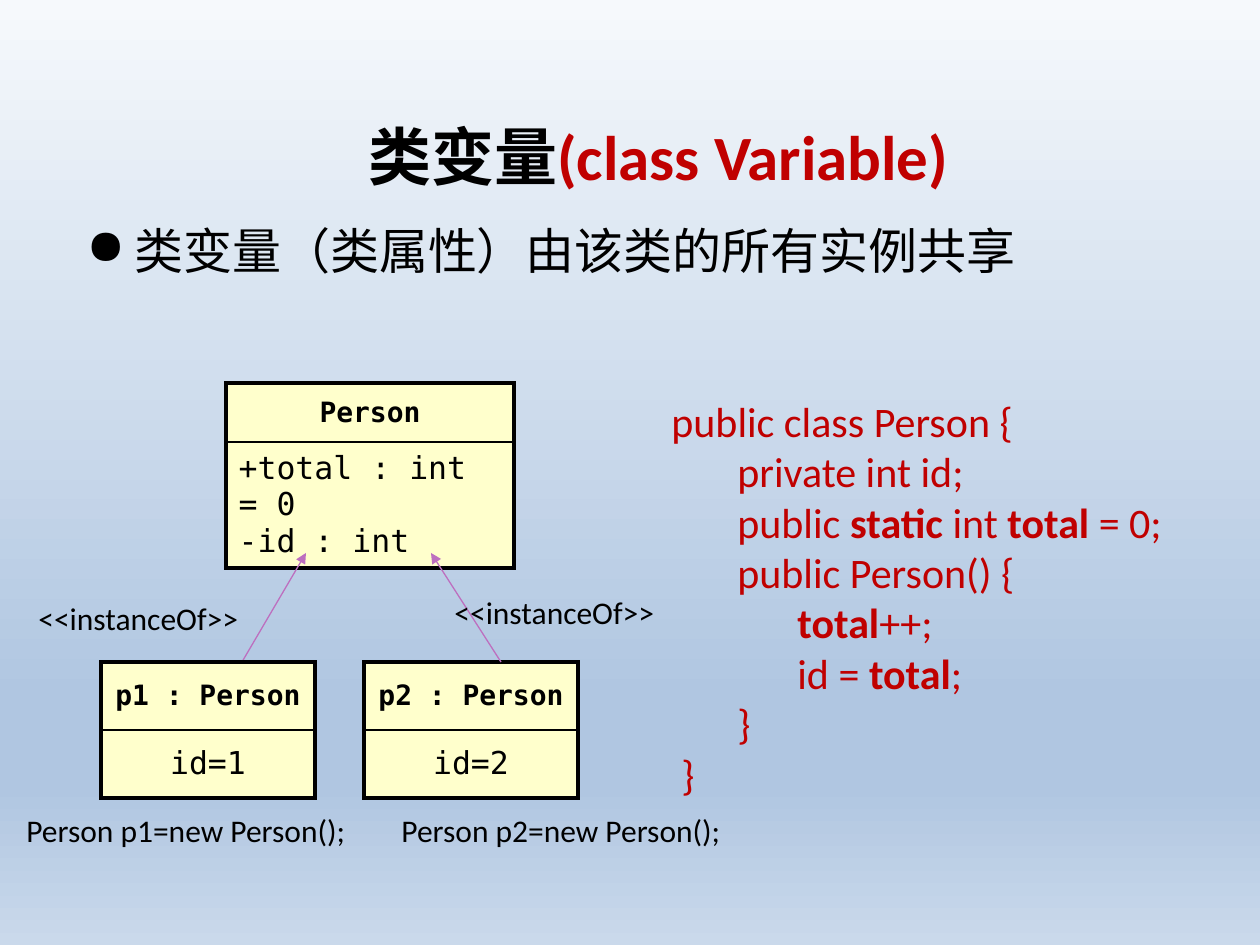
from dataclasses import dataclass

from lxml import etree
from pptx import Presentation
from pptx.dml.color import RGBColor
from pptx.enum.shapes import MSO_CONNECTOR
from pptx.enum.text import MSO_ANCHOR, MSO_AUTO_SIZE, PP_ALIGN
from pptx.oxml import parse_xml
from pptx.oxml.ns import nsdecls, qn
from pptx.util import Emu, Pt

EMU_PER_PX = 914400 / 126
BLACK, RED, CREAM, PURPLE = "000000", "C00000", "FFFFCC", "BD6FBF"
SANS, MONO = "Calibri", "DejaVu Sans Mono"
THICK, THIN = 2.25, 1


@dataclass
class Label:
    text: str
    left: int
    top: int
    width: int
    height: int = 50
    size: int = 18


@dataclass
class UmlBox:
    name: str
    members: list[str]
    left: int
    top: int
    width: int
    rows: tuple[int, int]
    align: PP_ALIGN = PP_ALIGN.CENTER


@dataclass
class CodeLine:
    indent: int
    tokens: list[str]  # every second token is bold


@dataclass
class Arrow:
    start: tuple[int, int]
    end: tuple[int, int]


def px(value: int) -> Emu:
    return Emu(round(value * EMU_PER_PX))


def color(hex_text: str) -> RGBColor:
    return RGBColor.from_string(hex_text)


def style(run, size: int, fill: str = BLACK, bold: bool = False, font: str = SANS) -> None:
    run.font.name, run.font.size, run.font.bold = font, Pt(size), bold
    run.font.color.rgb = color(fill)


def set_indent(paragraph, left: int, first: int = 0) -> None:
    properties = paragraph._p.get_or_add_pPr()
    properties.set("marL", str(px(left)))
    properties.set("indent", str(px(first)))


def add_background(slide, stops: list[tuple[int, str]]) -> None:
    gradient = "".join(
        f'<a:gs pos="{pos * 1000}"><a:srgbClr val="{fill}"/></a:gs>' for pos, fill in stops)
    slide._element.cSld.insert(0, parse_xml(
        f'<p:bg {nsdecls("p", "a")}><p:bgPr><a:gradFill rotWithShape="1">'
        f'<a:gsLst>{gradient}</a:gsLst><a:lin ang="5400000" scaled="0"/></a:gradFill>'
        f'<a:effectLst/></p:bgPr></p:bg>'))


def add_title(slide, phrases: list[tuple[str, str]]) -> None:
    title = slide.shapes.title
    title.left, title.top, title.width, title.height = map(px, (282, 100, 753, 111))
    title.text_frame.vertical_anchor = MSO_ANCHOR.MIDDLE
    heading = title.text_frame.paragraphs[0]
    heading.alignment = PP_ALIGN.CENTER
    for text, fill in phrases:
        run = heading.add_run()
        run.text = text
        style(run, 36, fill, bold=True)


def add_text_frame(slide, left: int, top: int, width: int, height: int):
    frame = slide.shapes.add_textbox(px(left), px(top), px(width), px(height)).text_frame
    frame.word_wrap = True
    frame.auto_size = MSO_AUTO_SIZE.SHAPE_TO_FIT_TEXT
    return frame


def add_label(slide, label: Label):
    frame = add_text_frame(slide, label.left, label.top, label.width, label.height)
    frame.text = label.text
    paragraph = frame.paragraphs[0]
    style(paragraph.runs[0], label.size)
    return paragraph


def add_bullet(slide, label: Label) -> None:
    paragraph = add_label(slide, label)
    set_indent(paragraph, 48, -48)
    etree.SubElement(paragraph._p.get_or_add_pPr(), qn("a:buChar")).set("char", "●")


def add_code(slide, lines: list[CodeLine]) -> None:
    frame = add_text_frame(slide, 659, 389, 567, 420)
    for number, line in enumerate(lines):
        paragraph = frame.add_paragraph() if number else frame.paragraphs[0]
        set_indent(paragraph, line.indent)
        for position, token in enumerate(line.tokens):
            if token:
                run = paragraph.add_run()
                run.text = token
                style(run, 24, RED, bold=position % 2 == 1)


def set_borders(cell, top: float, bottom: float) -> None:
    for side, width in (("L", THICK), ("R", THICK), ("T", top), ("B", bottom)):
        cell._tc.get_or_add_tcPr().append(parse_xml(
            f'<a:ln{side} {nsdecls("a")} w="{int(Pt(width))}"><a:solidFill>'
            f'<a:srgbClr val="{BLACK}"/></a:solidFill></a:ln{side}>'))


def add_uml_box(slide, box: UmlBox) -> None:
    table = slide.shapes.add_table(
        2, 1, px(box.left), px(box.top), px(box.width), px(sum(box.rows))).table
    table.first_row = table.horz_banding = False
    contents = (
        (box.name, 16, True, PP_ALIGN.CENTER, THICK, THIN),
        ("\n".join(box.members), 18, False, box.align, THIN, THICK),
    )
    for row, (text, size, bold, align, top, bottom) in enumerate(contents):
        table.rows[row].height = px(box.rows[row])
        cell = table.cell(row, 0)
        set_borders(cell, top, bottom)
        cell.fill.solid()
        cell.fill.fore_color.rgb = color(CREAM)
        cell.vertical_anchor = MSO_ANCHOR.MIDDLE
        cell.text_frame.text = text
        for paragraph in cell.text_frame.paragraphs:
            paragraph.alignment = align
            style(paragraph.runs[0], size, bold=bold, font=MONO)


def add_arrow(slide, arrow: Arrow) -> None:
    connector = slide.shapes.add_connector(
        MSO_CONNECTOR.STRAIGHT, *map(px, arrow.start + arrow.end))
    connector.line.color.rgb = color(PURPLE)
    connector.line.width = Pt(0.75)
    etree.SubElement(connector.line._get_or_add_ln(), qn("a:tailEnd")).set("type", "triangle")
    etree.SubElement(connector._element.spPr, qn("a:effectLst"))


def main() -> None:
    deck = Presentation()
    deck.slide_width, deck.slide_height = px(1260), px(945)
    slide = deck.slides.add_slide(deck.slide_layouts[5])
    add_background(slide, [(0, "F6F9FC"), (74, "B0C6E1"), (83, "B0C6E1"), (100, "CAD9EB")])

    # Heading and statement
    add_title(slide, [("类变量", BLACK), ("(class Variable)", RED)])
    add_bullet(slide, Label("类变量（类属性）由该类的所有实例共享", 74, 214, 992, 72, 28))

    # Source code of the class
    member, body = 66, 126
    add_code(slide, [
        CodeLine(0, ["public class Person {"]),
        CodeLine(member, ["private int id;"]),
        CodeLine(member, ["public ", "static ", "int ", "total ", "= 0;"]),
        CodeLine(member, ["public Person() {"]),
        CodeLine(body, ["", "total", "++;"]),
        CodeLine(body, ["id = ", "total", ";"]),
        CodeLine(member, ["}"]),
        CodeLine(10, ["}"]),
    ])

    # Class and its instances; the first arrow starts behind p1
    add_uml_box(slide, UmlBox("Person", ["+total : int = 0", "-id : int"],
                              226, 383, 288, (59, 118), PP_ALIGN.LEFT))
    add_arrow(slide, Arrow((222, 696), (306, 553)))
    for number, left in ((1, 101), (2, 364)):
        add_uml_box(slide, UmlBox(f"p{number} : Person", [f"id={number}"],
                                  left, 662, 214, (68, 68)))
    add_arrow(slide, Arrow((501, 662), (431, 553)))

    # Captions
    for label in (
        Label("<<instanceOf>>", 442, 587, 257),
        Label("<<instanceOf>>", 26, 593, 267),
        Label("Person p1=new Person();", 14, 805, 417),
        Label("Person p2=new Person();", 389, 805, 513),
    ):
        add_label(slide, label)

    deck.save("out.pptx")


if __name__ == "__main__":
    main()
